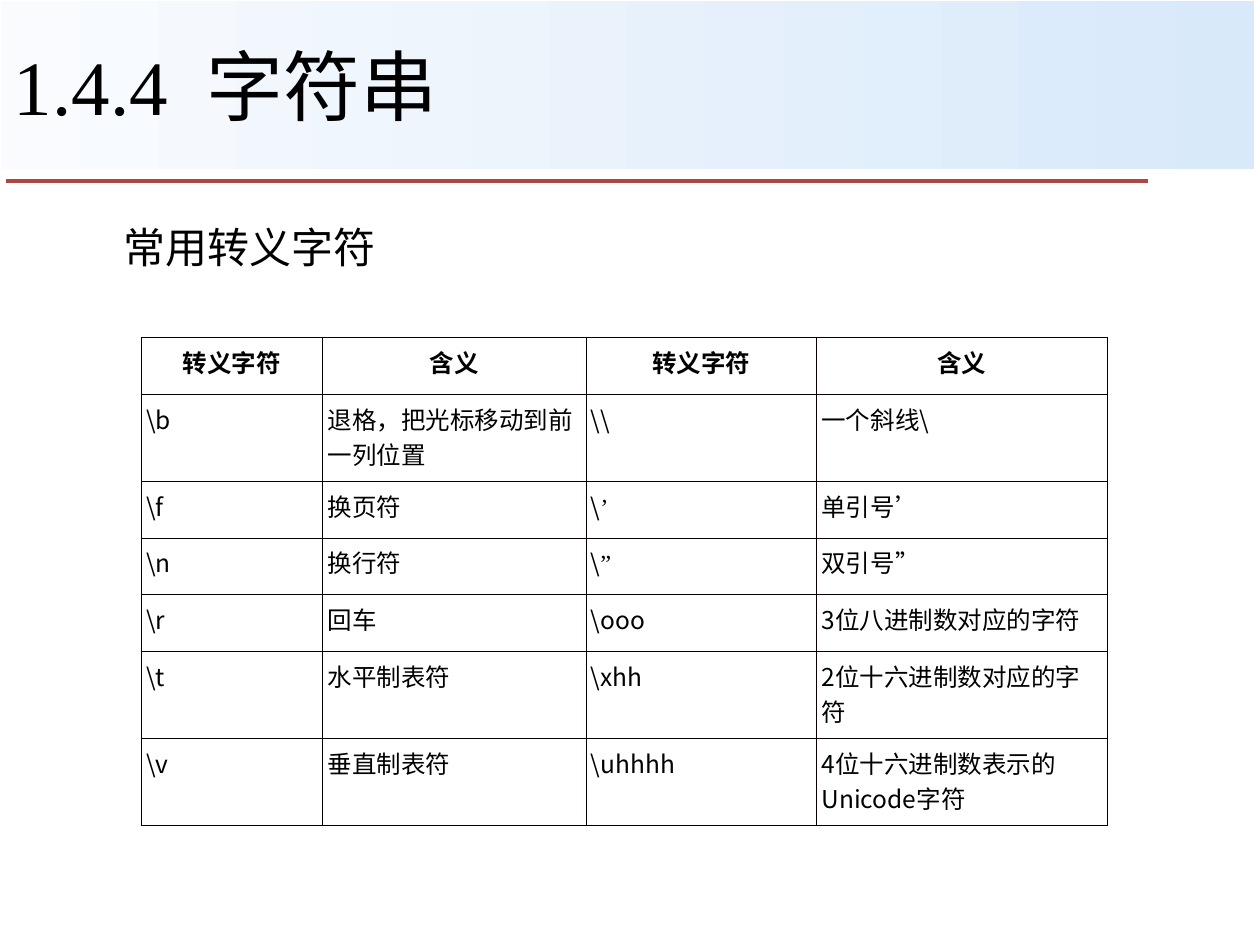
from pptx import Presentation
from pptx.dml.color import RGBColor
from pptx.enum import shapes, text
from pptx.oxml import ns, xmlchemy
from pptx.util import Inches, Pt

COLORS = {"text": "000000", "rule": "AC4744", "band_left": "F9FBFE",
          "band_right": "D8E9FA", "border": "080000"}
SERIF, SANS, CJK = "Times New Roman", "Arial", "Noto Sans CJK SC"
QUOTES = "’”"

COLUMN_WIDTHS = [1.44, 2.09, 1.83, 2.31]
ROW_HEIGHTS = [0.45, 0.69, 0.45, 0.45, 0.45, 0.69, 0.69]
ESCAPES = [
    ["转义字符", "含义", "转义字符", "含义"],
    ["\\b", "退格，把光标移动到前一列位置", "\\\\", "一个斜线\\"],
    ["\\f", "换页符", "\\’", "单引号’"],
    ["\\n", "换行符", "\\”", "双引号”"],
    ["\\r", "回车", "\\ooo", "3位八进制数对应的字符"],
    ["\\t", "水平制表符", "\\xhh", "2位十六进制数对应的字符"],
    ["\\v", "垂直制表符", "\\uhhhh", "4位十六进制数表示的Unicode字符"],
]


def rgb(name):
    return RGBColor.from_string(COLORS[name])


def format_paragraph(p, font, size, bold=False, align=text.PP_ALIGN.LEFT):
    p.alignment = align
    p.font.name = font
    p.font.size = Pt(size)
    p.font.bold = bold
    p.font.color.rgb = rgb("text")
    east_asian = xmlchemy.OxmlElement("a:ea")
    east_asian.set("typeface", CJK)
    p._p.pPr.find(ns.qn("a:defRPr")).append(east_asian)


def add_rule(s):
    line = s.shapes.add_connector(shapes.MSO_CONNECTOR.STRAIGHT, Inches(0.05),
                                  Inches(1.44), Inches(9.11), Inches(1.44))
    line.line.color.rgb = rgb("rule")
    line.line.width = Pt(2.25)
    line._element.spPr.append(xmlchemy.OxmlElement("a:effectLst"))


def add_title(s, words):
    sp = s.shapes.title
    sp.left, sp.top = Inches(0.01), Inches(0.01)
    sp.width, sp.height = Inches(9.94), Inches(1.33)
    sp.fill.gradient()
    sp.fill.gradient_angle = 0
    for stop, position, name in zip(sp.fill.gradient_stops, (0, 1),
                                    ("band_left", "band_right")):
        stop.position = position
        stop.color.rgb = rgb(name)
    tf = sp.text_frame
    tf.text = words
    tf.auto_size = text.MSO_AUTO_SIZE.NONE
    tf.vertical_anchor = text.MSO_ANCHOR.MIDDLE
    format_paragraph(tf.paragraphs[0], SERIF, 44)


def add_subtitle(s, words):
    sp = s.shapes.add_textbox(Inches(0.5), Inches(1.75), Inches(9), Inches(4.95))
    tf = sp.text_frame
    tf.word_wrap = True
    tf.margin_left = Inches(0.48)
    p = tf.paragraphs[0]
    p.text = words
    p.line_spacing = 0.9
    format_paragraph(p, SANS, 24)


def add_borders(cell):
    tc_pr = cell._tc.get_or_add_tcPr()
    for side in ("lnL", "lnR", "lnT", "lnB"):
        ln = xmlchemy.OxmlElement(f"a:{side}")
        ln.set("w", str(Pt(0.45)))
        fill = xmlchemy.OxmlElement("a:solidFill")
        color = xmlchemy.OxmlElement("a:srgbClr")
        color.set("val", COLORS["border"])
        fill.append(color)
        ln.append(fill)
        tc_pr.append(ln)


def fill_cell(cell, words, header):
    add_borders(cell)
    cell.fill.background()
    p = cell.text_frame.paragraphs[0]
    body = words.rstrip(QUOTES)
    p.add_run().text = body
    if body != words:
        r = p.add_run()
        r.text = words[len(body):]
        r.font.name = SERIF
    if header:
        format_paragraph(p, CJK, 14, True, text.PP_ALIGN.CENTER)
    else:
        cell.margin_left = Inches(0.04)
        format_paragraph(p, CJK, 14)


def add_escape_table(s):
    frame = s.shapes.add_table(len(ESCAPES), len(COLUMN_WIDTHS), Inches(1.12),
                               Inches(2.68), Inches(sum(COLUMN_WIDTHS)),
                               Inches(sum(ROW_HEIGHTS)))
    table = frame.table
    table.first_row = table.horz_banding = False
    for column, width in zip(table.columns, COLUMN_WIDTHS):
        column.width = Inches(width)
    for i, (row, height) in enumerate(zip(table.rows, ROW_HEIGHTS)):
        row.height = Inches(height)
        for cell, words in zip(row.cells, ESCAPES[i]):
            fill_cell(cell, words, header=i == 0)


def main():
    prs = Presentation()
    prs.slide_width, prs.slide_height = Inches(10), Inches(7.5)
    s = prs.slides.add_slide(prs.slide_layouts[5])
    add_rule(s)
    add_title(s, "1.4.4  字符串")
    add_subtitle(s, "常用转义字符")
    add_escape_table(s)
    prs.save("out.pptx")


if __name__ == "__main__":
    main()
